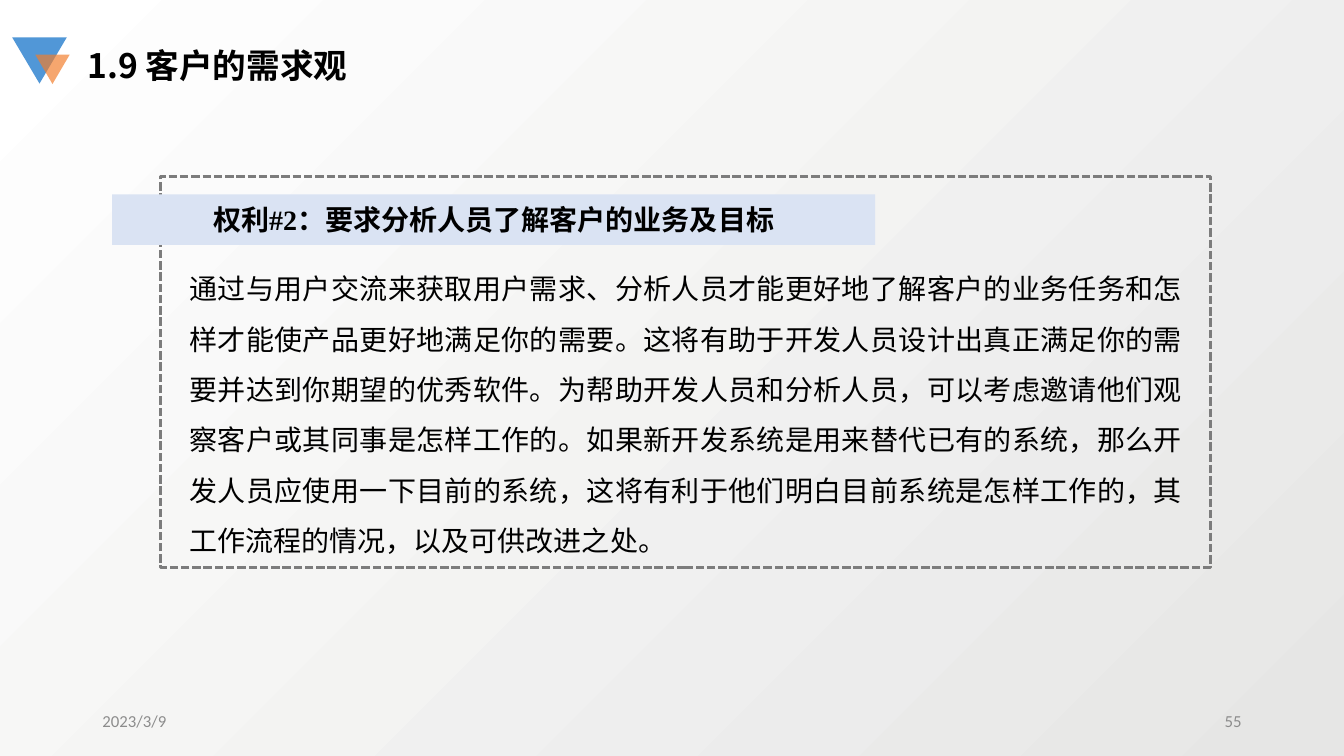
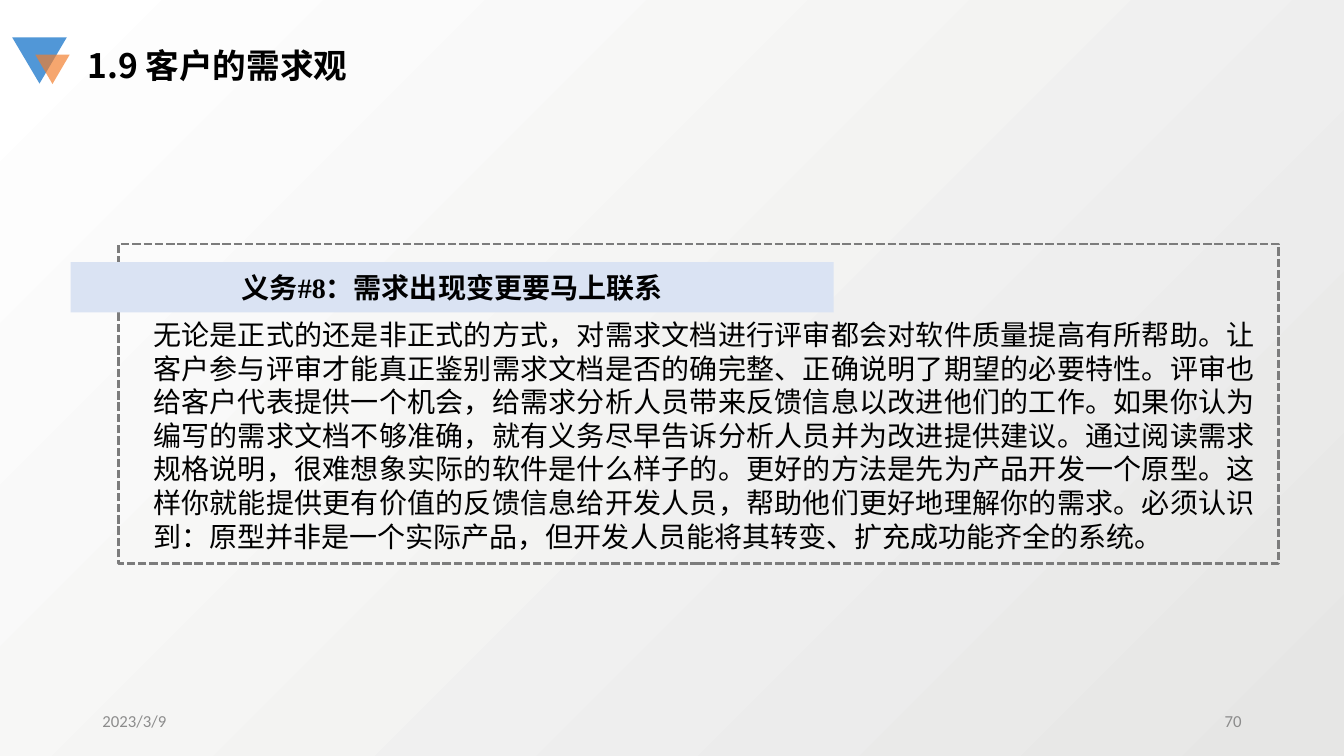
from lxml import etree
from pptx import Presentation
from pptx.dml.color import RGBColor
from pptx.enum.dml import MSO_LINE
from pptx.enum.shapes import MSO_SHAPE as SHAPE
from pptx.enum.text import MSO_ANCHOR as ANCHOR, PP_ALIGN as ALIGN
from pptx.oxml.ns import qn
from pptx.util import Inches, Pt

COLS, ROWS = 32, 18


def rgb(value):
    return RGBColor.from_string(value)


class Deck:
    """Shared style, the grid and the current slide."""
    BLACK, GREY, FRAME, BAND = "000000", "8C8C8C", "7C7C7C", "DAE3F3"
    BLUE, ORANGE = "5197D7", "F37D2A"
    SANS, SERIF, CJK = "Calibri", "Times New Roman", "Noto Sans CJK SC"
    TITLE, DATE = "1.9 客户的需求观", "2023/3/9"

    def __init__(self):
        self.prs = Presentation()
        self.prs.slide_width, self.prs.slide_height = Inches(13.33), Inches(7.5)
        self.s = None

    def grid(self, x, y, w, h):
        col, row = self.prs.slide_width / COLS, self.prs.slide_height / ROWS
        return int(x * col), int(y * row), int(w * col), int(h * row)

    # Basic elements
    def fill_text(self, tf, text, size, font, color=BLACK, bold=False,
                  align=ALIGN.LEFT, anchor=ANCHOR.TOP, leading=None):
        tf.word_wrap = True
        tf.vertical_anchor = anchor
        p = tf.paragraphs[0]
        p.alignment = align
        if leading:
            p.line_spacing = Pt(leading)
        r = p.add_run()
        r.text = text
        r.font.size, r.font.name, r.font.bold = Pt(size), font, bold
        r.font.color.rgb = rgb(color)
        etree.SubElement(r.font._element, qn("a:ea"), typeface=self.CJK)

    def text(self, box, text, size, font, **style):
        tb = self.s.shapes.add_textbox(*self.grid(*box))
        self.fill_text(tb.text_frame, text, size, font, **style)

    def shape(self, kind, box, fill=None, alpha=None):
        sp = self.s.shapes.add_shape(kind, *self.grid(*box))
        sp.shadow.inherit = False
        sp.line.fill.background()
        if fill is None:
            sp.fill.background()
            return sp
        sp.fill.solid()
        sp.fill.fore_color.rgb = rgb(fill)
        if alpha is not None:
            clr = sp._element.spPr.find(qn("a:solidFill"))[0]
            etree.SubElement(clr, qn("a:alpha"), val=str(alpha * 1000))
        return sp

    # Parts of every slide
    def slide(self, number):
        self.s = self.prs.slides.add_slide(self.prs.slide_layouts[6])
        fill = self.s.background.fill
        fill.gradient()
        fill.gradient_angle = 135
        for stop, color in zip(fill.gradient_stops, ("E6E6E5", "FFFFFF")):
            stop.color.rgb = rgb(color)
        footers = ((2.2, self.DATE, ALIGN.LEFT), (22.6, str(number), ALIGN.RIGHT))
        for x, label, align in footers:
            self.text((x, 16.68, 7.2, 0.96), label, 12, self.SANS,
                      color=self.GREY, align=align, anchor=ANCHOR.MIDDLE)
        for box, color, alpha in (((0.29, 0.89, 1.3, 1.1), self.BLUE, None),
                                  ((0.84, 1.3, 0.82, 0.7), self.ORANGE, 68)):
            self.shape(SHAPE.ISOSCELES_TRIANGLE, box, color, alpha).rotation = 180
        self.text((1.85, 0.96, 13.22, 1.2), self.TITLE, 24, self.CJK, bold=True)

    # Dashed frame, body text and the heading band across its left edge
    def card(self, frame, body_box, heading, body, font, leading):
        line = self.shape(SHAPE.RECTANGLE, frame).line
        line.color.rgb = rgb(self.FRAME)
        line.width, line.dash_style = Pt(2), MSO_LINE.SQUARE_DOT
        self.text(body_box, body, 20, font, align=ALIGN.JUSTIFY, leading=leading)
        x, y = frame[:2]
        band = self.shape(SHAPE.RECTANGLE, (x - 1.15, y + 0.43, 18.17, 1.2), self.BAND)
        self.fill_text(band.text_frame, heading, 20, self.SERIF, bold=True,
                       align=ALIGN.CENTER, anchor=ANCHOR.MIDDLE)


def main():
    deck = Deck()

    # Right 2
    deck.slide(55)
    deck.card(
        (3.82, 4.2, 25, 9.31), (4.27, 5.95, 24.12, 6.19),
        "权利#2：要求分析人员了解客户的业务及目标",
        "通过与用户交流来获取用户需求、分析人员才能更好地了解客户的业务任务和怎样才能使产品"
        "更好地满足你的需要。这将有助于开发人员设计出真正满足你的需要并达到你期望的优秀软件。"
        "为帮助开发人员和分析人员，可以考虑邀请他们观察客户或其同事是怎样工作的。"
        "如果新开发系统是用来替代已有的系统，那么开发人员应使用一下目前的系统，"
        "这将有利于他们明白目前系统是怎样工作的，其工作流程的情况，以及可供改进之处。",
        deck.SANS, 36)

    # Duty 8
    deck.slide(70)
    deck.card(
        (2.83, 5.81, 27.62, 7.61), (3.41, 7.44, 26.71, 7.51),
        "义务#8：需求出现变更要马上联系",
        "无论是正式的还是非正式的方式，对需求文档进行评审都会对软件质量提高有所帮助。"
        "让客户参与评审才能真正鉴别需求文档是否的确完整、正确说明了期望的必要特性。"
        "评审也给客户代表提供一个机会，给需求分析人员带来反馈信息以改进他们的工作。"
        "如果你认为编写的需求文档不够准确，就有义务尽早告诉分析人员并为改进提供建议。"
        "通过阅读需求规格说明，很难想象实际的软件是什么样子的。"
        "更好的方法是先为产品开发一个原型。"
        "这样你就能提供更有价值的反馈信息给开发人员，帮助他们更好地理解你的需求。"
        "必须认识到：原型并非是一个实际产品，但开发人员能将其转变、扩充成功能齐全的系统。",
        deck.CJK, 24)

    deck.prs.save("out.pptx")


if __name__ == "__main__":
    main()
